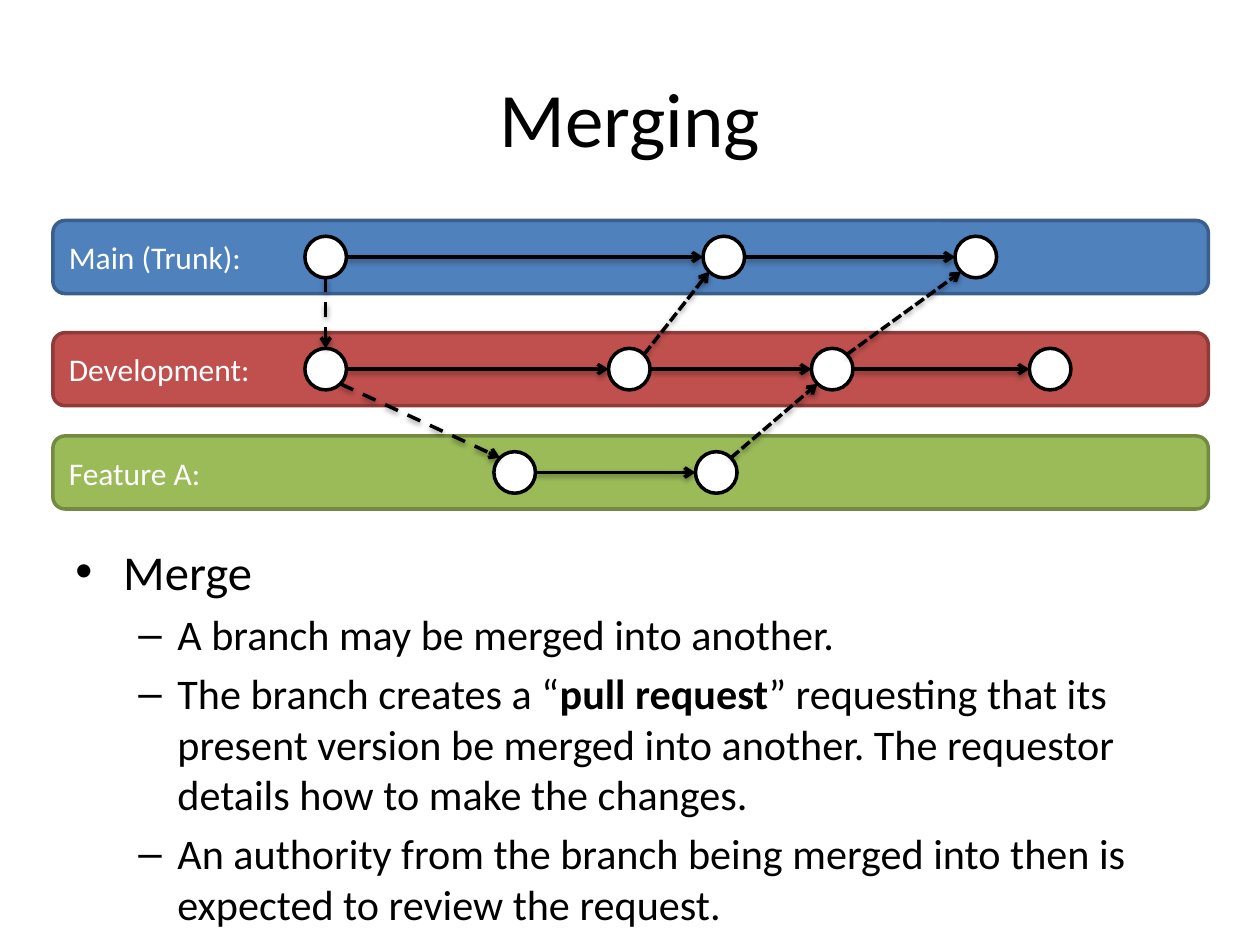
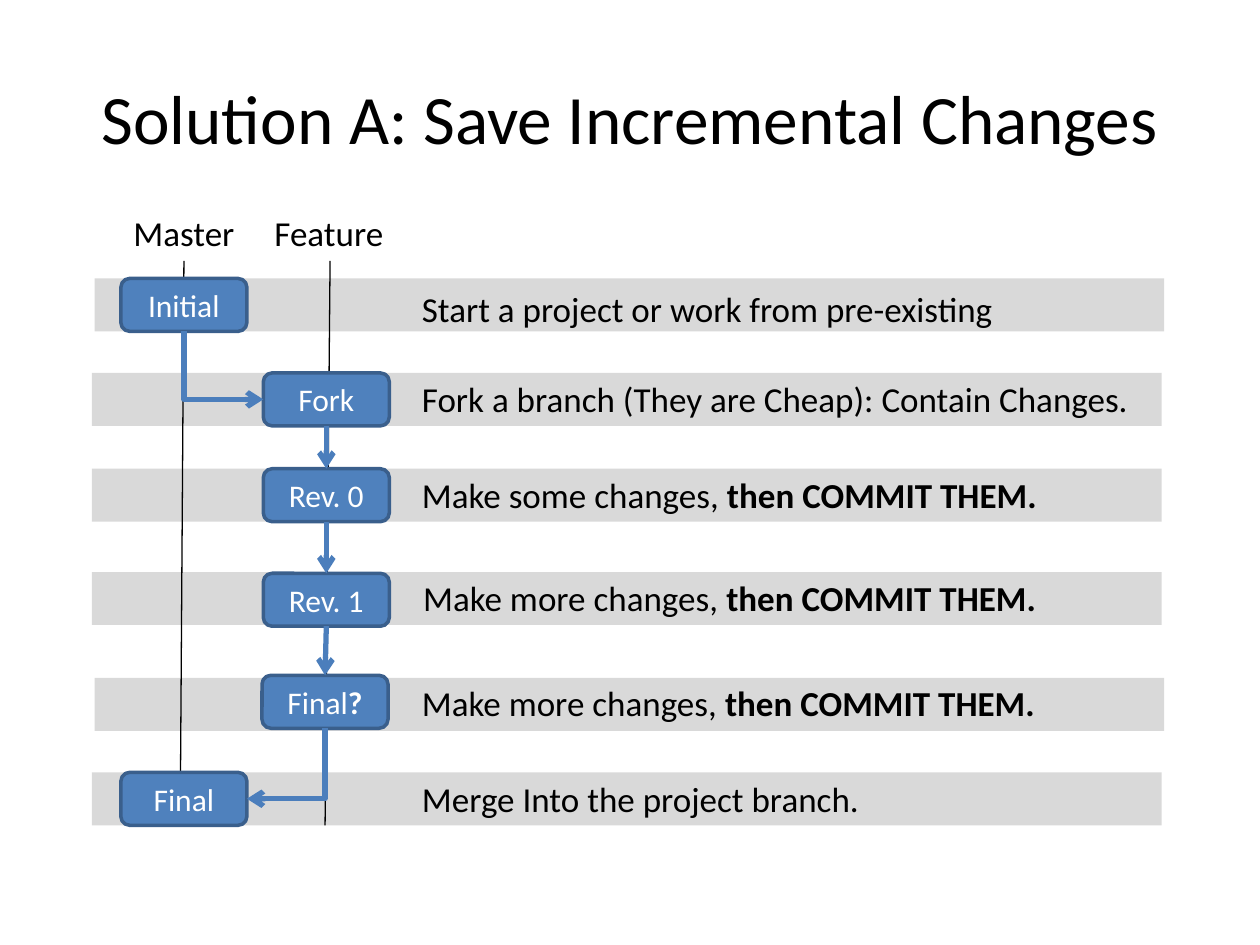
from dataclasses import dataclass
from math import copysign, hypot

from lxml import etree
from pptx import Presentation
from pptx import util as u
from pptx.dml.color import RGBColor
from pptx.enum import dml, shapes, text
from pptx.oxml import ns

BLACK = RGBColor(0x00, 0x00, 0x00)
WHITE = RGBColor(0xFF, 0xFF, 0xFF)
GREY = RGBColor(0xD9, 0xD9, 0xD9)
BLUE = RGBColor(0x4F, 0x81, 0xBD)
BLUE_EDGE = RGBColor(0x3A, 0x5F, 0x8C)
BLUE_ARROW = RGBColor(0x4B, 0x7E, 0xBC)
RED = RGBColor(0xC0, 0x50, 0x4D)
RED_EDGE = RGBColor(0x8E, 0x3B, 0x39)
GREEN = RGBColor(0x9B, 0xBB, 0x59)
GREEN_EDGE = RGBColor(0x73, 0x8A, 0x42)

FONT = "Calibri"
RECTANGLE = shapes.MSO_SHAPE.RECTANGLE
ROUNDED = shapes.MSO_SHAPE.ROUNDED_RECTANGLE
STRAIGHT = shapes.MSO_CONNECTOR.STRAIGHT
MIDDLE = text.MSO_ANCHOR.MIDDLE
CENTER = text.PP_ALIGN.CENTER
LEFT = text.PP_ALIGN.LEFT
DASH = dml.MSO_LINE.DASH
SHORT_DASH = dml.MSO_LINE.SQUARE_DOT  # written to the file as sysDash

Runs = list[tuple[str, bool]]  # text, bold
Point = tuple[float, float]  # inches

TOP, LEFT_SIDE, BOTTOM = 0, 1, 2
CIRCLE_SIZE = 0.33
BAND_HEIGHT = 0.58
STEP_HEIGHT = 0.42


@dataclass
class Band:
    label: str
    top: float
    fill: RGBColor
    edge: RGBColor
    commits: list[float]  # left edges of the circles


@dataclass
class Bullet:
    level: int
    runs: Runs


@dataclass
class Step:
    strip: Point
    box: Point
    label: Runs
    note: Point
    note_runs: Runs


BANDS = [
    Band("Feature A:", 3.46, GREEN, GREEN_EDGE, [3.92, 5.52]),
    Band("Development:", 2.64, RED, RED_EDGE, [2.42, 4.83, 6.44, 8.17]),
    Band("Main (Trunk):", 1.75, BLUE, BLUE_EDGE, [2.42, 5.58, 7.58]),
]
FEATURE, DEVELOPMENT, MAIN = range(3)

# Each end is (band, commit number)
BRANCHES = [
    ((DEVELOPMENT, 0), (FEATURE, 0), DASH),
    ((MAIN, 0), (DEVELOPMENT, 0), DASH),
    ((DEVELOPMENT, 1), (MAIN, 1), SHORT_DASH),
    ((DEVELOPMENT, 2), (MAIN, 2), SHORT_DASH),
    ((FEATURE, 1), (DEVELOPMENT, 2), SHORT_DASH),
]

BULLETS = [
    Bullet(0, [("Merge", False)]),
    Bullet(1, [("A branch may be merged into another.", False)]),
    Bullet(1, [("The branch creates a “", False), ("pull request", True),
               ("” requesting that its present version be merged into another. "
                "The requestor details how to make the changes.", False)]),
    Bullet(1, [("An authority from the branch being merged into then is "
                "expected to review the request.", False)]),
]
# Per level: symbol, text size, left margin, hanging indent
BULLET_LEVELS = [("•", 27.8, 0.38, 0.38), ("–", 24.1, 0.81, 0.31)]

COMMIT = (" then COMMIT THEM.", True)
MORE_CHANGES = [("Make more changes,", False), COMMIT]
STEPS = [
    Step((0.75, 2.21), (0.96, 2.21), [("Initial", False)], (3.25, 2.23),
         [("Start a project or work from pre-existing", False)]),
    Step((0.73, 2.96), (2.09, 2.96), [("Fork", False)], (3.25, 2.95),
         [("Fork a branch (They are Cheap): Contain Changes.", False)]),
    Step((0.73, 3.72), (2.09, 3.72), [("Rev. 0", False)], (3.25, 3.71),
         [("Make some changes,", False), COMMIT]),
    Step((0.73, 4.54), (2.09, 4.55), [("Rev. 1", False)], (3.26, 4.53), MORE_CHANGES),
    Step((0.75, 5.38), (2.08, 5.36), [("Final", False), ("?", True)], (3.25, 5.36),
         MORE_CHANGES),
    Step((0.73, 6.13), (0.96, 6.13), [("Final", False)], (3.25, 6.12),
         [("Merge Into the project branch.", False)]),
]


def set_format(target, values: dict) -> None:
    for name, value in values.items():
        setattr(target, name, value)


def write_runs(paragraph, runs: Runs, size: float, color: RGBColor, align=LEFT) -> None:
    paragraph.alignment = align
    for content, bold in runs:
        run = paragraph.add_run()
        run.text = content
        set_format(run.font, {"name": FONT, "size": u.Pt(size), "bold": bold})
        run.font.color.rgb = color


def add_text(slide, left, top, width, height, runs: Runs, size: float,
             align=LEFT, anchor=text.MSO_ANCHOR.TOP, wrap=True):
    box = slide.shapes.add_textbox(*map(u.Inches, (left, top, width, height)))
    set_format(box.text_frame, {"word_wrap": wrap, "vertical_anchor": anchor})
    write_runs(box.text_frame.paragraphs[0], runs, size, BLACK, align)
    return box


def add_title(slide, title: str, size: float) -> None:
    add_text(slide, 0.5, 0.3, 9, 1.25, [(title, False)], size, CENTER, MIDDLE)


def add_box(slide, kind, left, top, width, height, fill: RGBColor,
            edge: RGBColor | None = None, runs: Runs | None = None, align=LEFT):
    shape = slide.shapes.add_shape(kind, *map(u.Inches, (left, top, width, height)))
    shape.shadow.inherit = False
    shape.fill.solid()
    shape.fill.fore_color.rgb = fill
    if edge is None:
        shape.line.fill.background()
    else:
        shape.line.color.rgb = edge
        shape.line.width = u.Pt(2)
    if runs:
        shape.text_frame.vertical_anchor = MIDDLE
        write_runs(shape.text_frame.paragraphs[0], runs, 18, WHITE, align)
    return shape


def add_line(slide, start: Point, end: Point, color: RGBColor, width: float,
             dash=None, arrow=True, shadow=False, kind=STRAIGHT):
    connector = slide.shapes.add_connector(kind, *map(u.Inches, (*start, *end)))
    connector.line.color.rgb = color
    set_format(connector.line, {"width": u.Pt(width), "dash_style": dash})
    if arrow:
        etree.SubElement(connector.line._get_or_add_ln(), ns.qn("a:tailEnd"), type="arrow")
    effects = etree.SubElement(connector._element.spPr, ns.qn("a:effectLst"))
    if shadow:
        outer = etree.SubElement(effects, ns.qn("a:outerShdw"), blurRad="40000",
                                 dist="20000", dir="5400000", rotWithShape="0")
        tint = etree.SubElement(outer, ns.qn("a:srgbClr"), val=str(BLACK))
        etree.SubElement(tint, ns.qn("a:alpha"), val="38000")
    return connector


def link_boxes(slide, upper, lower) -> None:
    connector = add_line(slide, (0, 0), (1, 1), BLUE_ARROW, 3)
    connector.begin_connect(upper, BOTTOM)
    connector.end_connect(lower, TOP)


def add_elbow(slide, source, target, side: int) -> None:
    """Go down from source, then sideways into the given side of target."""
    connector = add_line(slide, (0, 0), (1, 1), BLUE_ARROW, 3,
                         kind=shapes.MSO_CONNECTOR.ELBOW)
    connector.begin_connect(source, BOTTOM)
    connector.end_connect(target, side)
    start_x, start_y = connector.begin_x, connector.begin_y
    end_x, end_y = connector.end_x, connector.end_y
    # A quarter turn swaps width and height around the same centre
    width, height = abs(end_y - start_y), abs(end_x - start_x)
    set_format(connector, {
        "left": (start_x + end_x - width) // 2, "top": (start_y + end_y - height) // 2,
        "width": width, "height": height})
    rightward = end_x > start_x
    frame = connector._element.spPr.xfrm
    frame.set("rot", "16200000" if rightward else "5400000")
    frame.set("flipH", "1" if rightward else "0")
    frame.set("flipV", "0")
    connector._element.spPr.find(ns.qn("a:prstGeom")).set("prst", "bentConnector2")


def add_commit_arrow(slide, start: Point, end: Point, dash=None) -> None:
    """Join two circles, given by centre, at their nearest eighth points."""
    signs = [copysign(1, b - a) if b != a else 0 for a, b in zip(start, end)]
    reach = CIRCLE_SIZE / 2 / hypot(*signs)
    begin = tuple(a + reach * sign for a, sign in zip(start, signs))
    finish = tuple(b - reach * sign for b, sign in zip(end, signs))
    add_line(slide, begin, finish, BLACK, 2, dash, shadow=True)


def add_bullets(slide) -> None:
    frame = slide.shapes.add_textbox(*map(u.Inches, (0.5, 4.25, 9, 2.92))).text_frame
    frame.word_wrap = True
    for index, bullet in enumerate(BULLETS):
        paragraph = frame.add_paragraph() if index else frame.paragraphs[0]
        symbol, size, margin, hanging = BULLET_LEVELS[bullet.level]
        write_runs(paragraph, bullet.runs, size, BLACK)
        set_format(paragraph, {"level": bullet.level, "space_before": u.Pt(0.2 * size)})
        properties = paragraph._p.get_or_add_pPr()
        properties.set("marL", str(u.Inches(margin)))
        properties.set("indent", str(-u.Inches(hanging)))
        etree.SubElement(properties, ns.qn("a:buFont"), typeface="Arial")
        etree.SubElement(properties, ns.qn("a:buChar"), char=symbol)


def build_merging(slide) -> None:
    add_title(slide, "Merging", 44)
    add_bullets(slide)
    for band in BANDS:
        add_box(slide, ROUNDED, 0.42, band.top, 9.17, BAND_HEIGHT, band.fill, band.edge,
                [(band.label, False)])
    # Commits
    centres = []
    for band in BANDS:
        top = band.top + (BAND_HEIGHT - CIRCLE_SIZE) / 2
        for left in band.commits:
            add_box(slide, shapes.MSO_SHAPE.OVAL, left, top, CIRCLE_SIZE, CIRCLE_SIZE,
                    WHITE, BLACK)
        half = CIRCLE_SIZE / 2
        centres.append([(left + half, top + half) for left in band.commits])
    # History inside each band, then branches and merges between bands
    for row in centres:
        for start, end in zip(row, row[1:]):
            add_commit_arrow(slide, start, end)
    for (band_a, commit_a), (band_b, commit_b), dash in BRANCHES:
        add_commit_arrow(slide, centres[band_a][commit_a], centres[band_b][commit_b], dash)


def build_solution(slide) -> None:
    add_title(slide, "Solution A: Save Incremental Changes", 39.6)
    for step in STEPS:
        add_box(slide, RECTANGLE, *step.strip, 8.49, STEP_HEIGHT, GREY)
    # Branch headings and their lifelines
    for heading, left, width, line_top, line_bottom in (
            ("Master", 0.96, 1.01, 1.46, 1.43), ("Feature", 2.08, 1.08, 2.62, 2.58)):
        add_text(slide, left, 1.63, width, 0.44, [(heading, False)], 20, wrap=False)
        add_line(slide, (line_top, 2.07), (line_bottom, 6.55), BLACK, 0.75, arrow=False)
    # Steps and the arrows between them
    boxes = [add_box(slide, ROUNDED, *step.box, 1, STEP_HEIGHT, BLUE, BLUE_EDGE,
                     step.label, CENTER) for step in STEPS]
    initial, *feature_boxes, final = boxes
    add_elbow(slide, initial, feature_boxes[0], LEFT_SIDE)
    add_elbow(slide, feature_boxes[-1], final, 3)
    for upper, lower in zip(feature_boxes, feature_boxes[1:]):
        link_boxes(slide, upper, lower)
    for step in STEPS:
        add_text(slide, *step.note, 5.98, 0.44, step.note_runs, 20)


def main() -> None:
    presentation = Presentation()
    set_format(presentation, {"slide_width": u.Inches(10), "slide_height": u.Inches(7.5)})
    blank = presentation.slide_layouts[6]
    for build in (build_merging, build_solution):
        build(presentation.slides.add_slide(blank))
    presentation.save("out.pptx")


if __name__ == "__main__":
    main()
